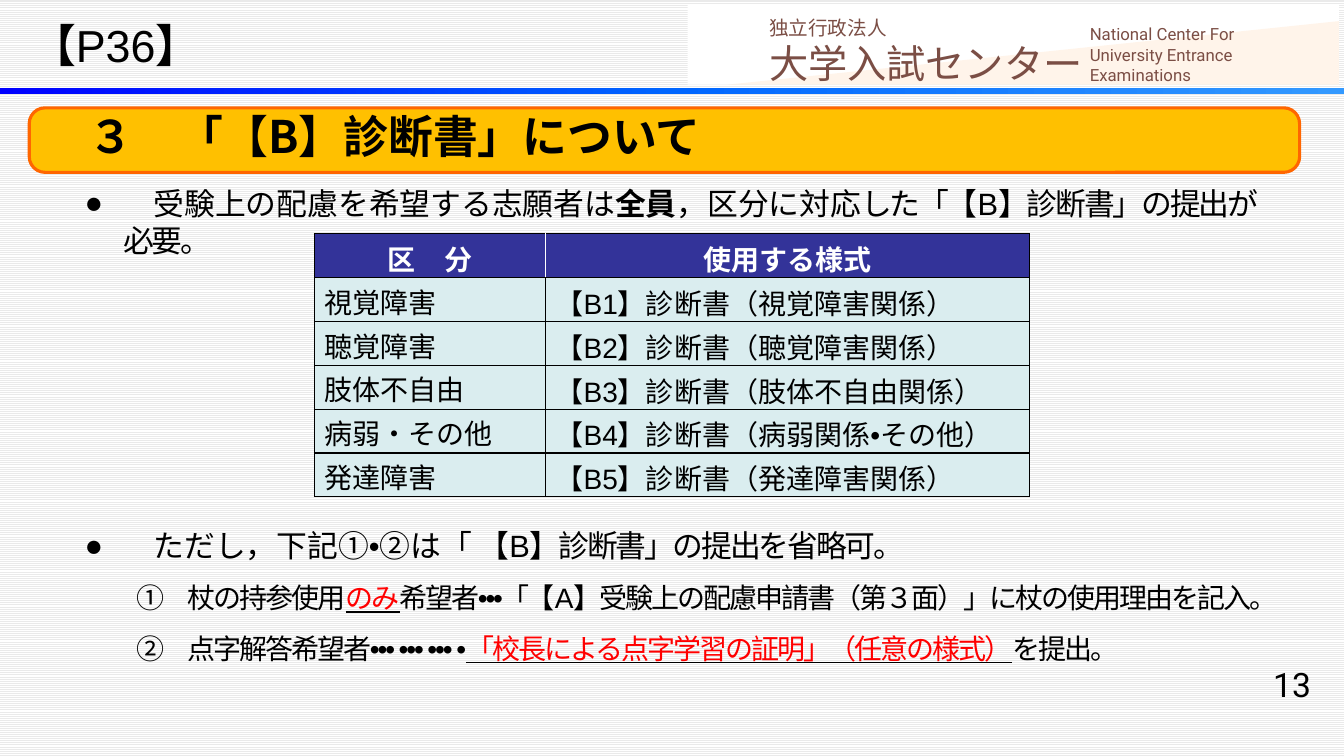
from lxml import etree
from pptx import Presentation
from pptx import util as u
from pptx.dml.color import RGBColor
from pptx.enum import dml, shapes, text
from pptx.oxml import ns

# Content
HUE = {"ink": "000000", "white": "FFFFFF", "stripe": "EAEAEA", "brown": "7B4E45",
       "peach": "FFCC99", "navy": "333399", "mint": "DAEDEF", "gold": "FFC000",
       "orange": "FF6600", "red": "FF0000"}
BLUES = [(0, "0000FF"), (50, "0066FF"), (100, "3399FF")]
LATIN, CJK, ROBOTO = "Arial", "Noto Sans CJK JP", "Roboto"

# A run is (text, style); a paragraph is (runs, layout)
B, TIGHT = {"bold": True}, {"gap": -1.5}
MARK = {**TIGHT, "hue": "red", "line": True}
NOTE = {"left": 0.51, "before": 12, "size": 20}
DOT = {"left": 0.38, "hang": 0.38, "dot": "●"}

PAGE = [([("【", B), ("P36", {}), ("】", B)], {})]
NUMBER = [([("13", {})], {"align": "RIGHT"})]
ORG = [([("独立行政法人", {"size": 14})], {}), ([("大学入試センター", {})], {})]
ENGLISH = [([("National Center For", {})], {}),
           ([("University Entrance Examinations", {})], {})]
TITLE = [([("\u3000３\u3000「【B】診断書」について", B)], {})]
NEED = [([("\u3000受験上の配慮を希望する志願者は", {}), ("全員", B), ("，区分に対応", {}),
          ("した「【B】診断書」の提出が必要。", TIGHT)], DOT)]
SKIP = [
    ([("\u3000ただし，下記①•②は「", {}), (" 【B】診断書」の提出を省略可。", TIGHT)], DOT),
    ([("①\u3000杖の持参使用", TIGHT), ("のみ", MARK),
      ("希望者•••「【A】受験上の配慮申請書（第３面）」に杖の使用理由を記入。", TIGHT)], NOTE),
    ([("②\u3000点字解答希望者••• ••• ••• •", TIGHT),
      ("「校長による点字学習の証明」（任意の様式）", MARK), ("を提出。", TIGHT)], NOTE),
]
FORMS = [
    ("区\u3000分", "使用する様式"),
    ("視覚障害", "【B1】診断書（視覚障害関係）"),
    ("聴覚障害", "【B2】診断書（聴覚障害関係）"),
    ("肢体不自由", "【B3】診断書（肢体不自由関係）"),
    ("病弱・その他", "【B4】診断書（病弱関係•その他）"),
    ("発達障害", "【B5】診断書（発達障害関係）"),
]
COLS, ROW = (2.29, 4.8), 0.435

deck = Presentation()
deck.slide_width, deck.slide_height = u.Inches(13.33), u.Inches(7.5)
slide = deck.slides.add_slide(deck.slide_layouts[6])


def rgb(name):
    return RGBColor.from_string(HUE[name])


def node(parent, tag, **attrs):
    return etree.SubElement(parent, ns.qn(tag), attrs)


def write(frame, paras, size, font, hue="ink"):
    for i, (runs, form) in enumerate(paras):
        para = frame.paragraphs[0] if i == 0 else frame.add_paragraph()
        props = para._p.get_or_add_pPr()
        props.set("marL", str(u.Inches(form.get("left", 0))))
        props.set("indent", str(-u.Inches(form.get("hang", 0))))
        para.alignment = getattr(text.PP_ALIGN, form.get("align", "LEFT"))
        if "before" in form:
            para.space_before = u.Pt(form["before"])
        if "dot" in form:
            node(props, "a:buFont", typeface=font)
            node(props, "a:buChar", char=form["dot"])
        for words, style in runs:
            run = para.add_run()
            run.text = words
            face = run.font
            face.size = u.Pt(style.get("size", form.get("size", size)))
            face.bold = style.get("bold", False)
            face.underline = style.get("line", False)
            face.color.rgb = rgb(style.get("hue", hue))
            if "line" in style:
                under = node(face._element, "a:uFill")
                node(node(under, "a:solidFill"), "a:srgbClr", val=HUE["ink"])
            face.name = font
            node(face._element, "a:ea", typeface=font)
            if "gap" in style:
                face._element.set("spc", str(int(style["gap"] * 100)))


def setup(frame, anchor, left=0.1):
    frame.word_wrap = True
    frame.vertical_anchor = getattr(text.MSO_ANCHOR, anchor)
    frame.margin_left, frame.margin_right = u.Inches(left), u.Inches(0.1)
    frame.margin_top = frame.margin_bottom = u.Inches(0.05)


def label(at, paras, size, font, hue="ink", anchor="TOP", left=0.1):
    box = slide.shapes.add_textbox(*map(u.Inches, at))
    setup(box.text_frame, anchor, left)
    write(box.text_frame, paras, size, font, hue)


def block(kind, at, fill=None):
    item = slide.shapes.add_shape(getattr(shapes.MSO_SHAPE, kind), *map(u.Inches, at))
    item.shadow.inherit = False
    item.line.fill.background()
    if fill:
        item.fill.solid()
        item.fill.fore_color.rgb = rgb(fill)
    return item


def border(cell, sides):
    props = cell._tc.get_or_add_tcPr()
    for i, (side, hue) in enumerate(sides.items()):
        line = etree.Element(ns.qn("a:ln" + side), w=str(u.Pt(1)))
        node(node(line, "a:solidFill"), "a:srgbClr", val=HUE[hue])
        props.insert(i, line)


# Striped background
back = slide.background.fill
back.patterned()
back.pattern = dml.MSO_PATTERN.LIGHT_HORIZONTAL
back.fore_color.rgb, back.back_color.rgb = rgb("white"), rgb("stripe")

# Header panel
block("RECTANGLE", (6.82, 0.05, 6.46, 0.79), "white")
wedge = block("RIGHT_TRIANGLE", (7.22, 0.21, 6.06, 0.63), "peach")
wedge._element.spPr.find(ns.qn("a:xfrm")).set("flipH", "1")
node(wedge._element.spPr.find(".//" + ns.qn("a:srgbClr")), "a:alpha", val="20000")
label((7.53, 0.1, 3.46, 0.81), ORG, 28, CJK, "brown", "MIDDLE")
label((10.71, 0.29, 2.65, 0.5), ENGLISH, 12, ROBOTO, "brown", "MIDDLE")

# Blue rule under the header
rule = block("RECTANGLE", (0, 0.875, 13.33, 0.06))
rule.fill.gradient()
rule.fill.gradient_angle = 0
stops = rule._element.spPr.find(".//" + ns.qn("a:gsLst"))
for old in list(stops):
    stops.remove(old)
for pos, hue in BLUES:
    node(node(stops, "a:gs", pos=str(pos * 1000)), "a:srgbClr", val=hue)

# Page labels and first point
label((10.21, 6.54, 2.89, 0.52), NUMBER, 24, ROBOTO)
label((0.21, 0.13, 2.76, 0.64), PAGE, 32, LATIN)
label((0.6, 1.78, 12.05, 0.68), NEED, 22, LATIN, left=0.24)

# Table of forms
grid = slide.shapes.add_table(len(FORMS), len(COLS), u.Inches(3.12), u.Inches(2.32),
                              u.Inches(sum(COLS)), u.Inches(ROW * len(FORMS))).table
grid.horz_banding = grid.first_row = False
for c, width in enumerate(COLS):
    grid.columns[c].width = u.Inches(width)
for r, row in enumerate(FORMS):
    grid.rows[r].height = u.Inches(ROW)
    for c, words in enumerate(row):
        cell, head = grid.cell(r, c), r == 0
        font = LATIN if head or c else CJK
        cell.margin_top = u.Inches(0.1 if font == LATIN else 0.03)
        cell.margin_bottom = 0
        cell.vertical_anchor = text.MSO_ANCHOR.MIDDLE
        cell.fill.solid()
        cell.fill.fore_color.rgb = rgb("navy" if head else "mint")
        sides = dict.fromkeys("LRTB", "ink")
        if head:
            sides["L" if c else "R"] = "white"
        border(cell, sides)
        write(cell.text_frame,
              [([(words, {"bold": head})], {"align": "CENTER" if head else "LEFT"})],
              20, font, "white" if head else "ink")

# Title bar
bar = block("ROUNDED_RECTANGLE", (0.29, 1.07, 12.6, 0.64), "gold")
bar.adjustments[0] = 0.245
bar.line.color.rgb, bar.line.width = rgb("orange"), u.Pt(2.25)
setup(bar.text_frame, "BOTTOM")
write(bar.text_frame, TITLE, 32, CJK)

# Exceptions
label((0.6, 5.18, 12.28, 1.51), SKIP, 22, LATIN, left=0.24)

deck.save("out.pptx")
